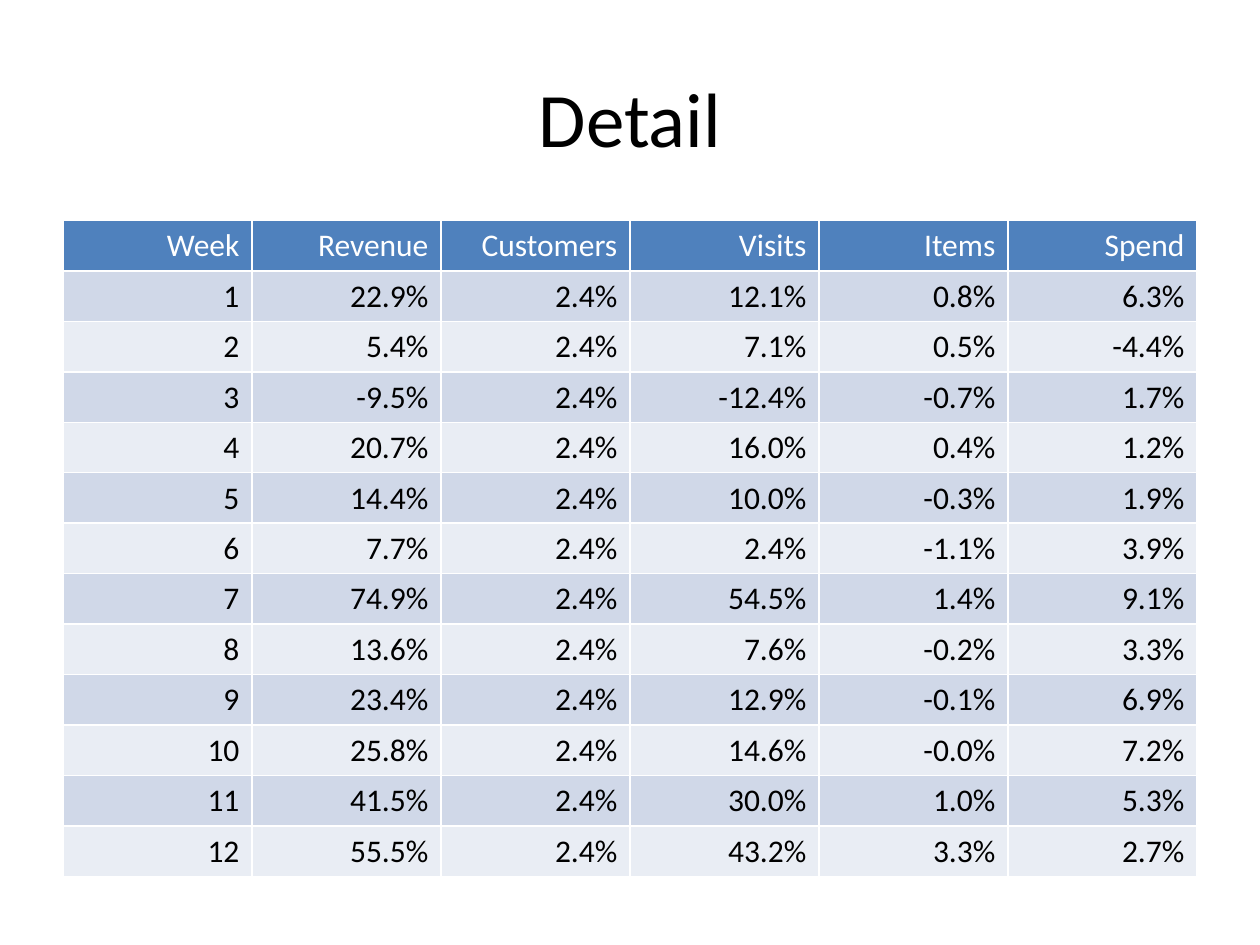
import pptx
import pptx.dml.color
import pptx.enum.text
import pptx.util

SLIDE_WIDTH = pptx.util.Inches(10)
SLIDE_HEIGHT = pptx.util.Inches(7.5)
FONT = "Calibri"
COLORS = {
    "text": "000000",
    "header_text": "FFFFFF",
    "header": "4F81BD",
    "odd_row": "D0D8E8",
    "even_row": "E9EDF4",
}

# Shares of the slide's width and height: left, top, width, height
TITLE_BOX = (0.05, 0.04, 0.9, 1 / 6)
TABLE_BOX = (0.05, 7 / 30, 0.9, 0.66)

HEADERS = ["Week", "Revenue", "Customers", "Visits", "Items", "Spend"]
WEEKLY_CHANGES = [
    ("22.9%", "2.4%", "12.1%", "0.8%", "6.3%"),
    ("5.4%", "2.4%", "7.1%", "0.5%", "-4.4%"),
    ("-9.5%", "2.4%", "-12.4%", "-0.7%", "1.7%"),
    ("20.7%", "2.4%", "16.0%", "0.4%", "1.2%"),
    ("14.4%", "2.4%", "10.0%", "-0.3%", "1.9%"),
    ("7.7%", "2.4%", "2.4%", "-1.1%", "3.9%"),
    ("74.9%", "2.4%", "54.5%", "1.4%", "9.1%"),
    ("13.6%", "2.4%", "7.6%", "-0.2%", "3.3%"),
    ("23.4%", "2.4%", "12.9%", "-0.1%", "6.9%"),
    ("25.8%", "2.4%", "14.6%", "-0.0%", "7.2%"),
    ("41.5%", "2.4%", "30.0%", "1.0%", "5.3%"),
    ("55.5%", "2.4%", "43.2%", "3.3%", "2.7%"),
]


def color(name):
    return pptx.dml.color.RGBColor.from_string(COLORS[name])


def place(box):
    left, top, width, height = box
    return (round(left * SLIDE_WIDTH), round(top * SLIDE_HEIGHT),
            round(width * SLIDE_WIDTH), round(height * SLIDE_HEIGHT))


def style_paragraph(paragraph, size, color_name, alignment):
    paragraph.alignment = alignment
    paragraph.font.name = FONT
    paragraph.font.size = pptx.util.Pt(size)
    paragraph.font.bold = False
    paragraph.font.color.rgb = color(color_name)


def add_title(slide, box, text):
    frame = slide.shapes.add_textbox(*place(box)).text_frame
    frame.word_wrap = True
    frame.vertical_anchor = pptx.enum.text.MSO_ANCHOR.MIDDLE
    frame.text = text
    style_paragraph(frame.paragraphs[0], 44, "text",
                    pptx.enum.text.PP_ALIGN.CENTER)


def add_detail_table(slide, box, headers, changes):
    rows = [headers] + [(str(week), *values)
                        for week, values in enumerate(changes, start=1)]
    # The default table style supplies the white rules between cells
    table = slide.shapes.add_table(len(rows), len(headers), *place(box)).table
    for row_index, row in enumerate(rows):
        if row_index == 0:
            fill_name, text_name = "header", "header_text"
        else:
            fill_name = "odd_row" if row_index % 2 else "even_row"
            text_name = "text"
        for column_index, text in enumerate(row):
            cell = table.cell(row_index, column_index)
            cell.fill.solid()
            cell.fill.fore_color.rgb = color(fill_name)
            cell.text = text
            style_paragraph(cell.text_frame.paragraphs[0], 18, text_name,
                            pptx.enum.text.PP_ALIGN.RIGHT)


def main():
    presentation = pptx.Presentation()
    presentation.slide_width = SLIDE_WIDTH
    presentation.slide_height = SLIDE_HEIGHT
    slide = presentation.slides.add_slide(presentation.slide_layouts[6])
    add_title(slide, TITLE_BOX, "Detail")
    add_detail_table(slide, TABLE_BOX, HEADERS, WEEKLY_CHANGES)
    presentation.save("out.pptx")


if __name__ == "__main__":
    main()
